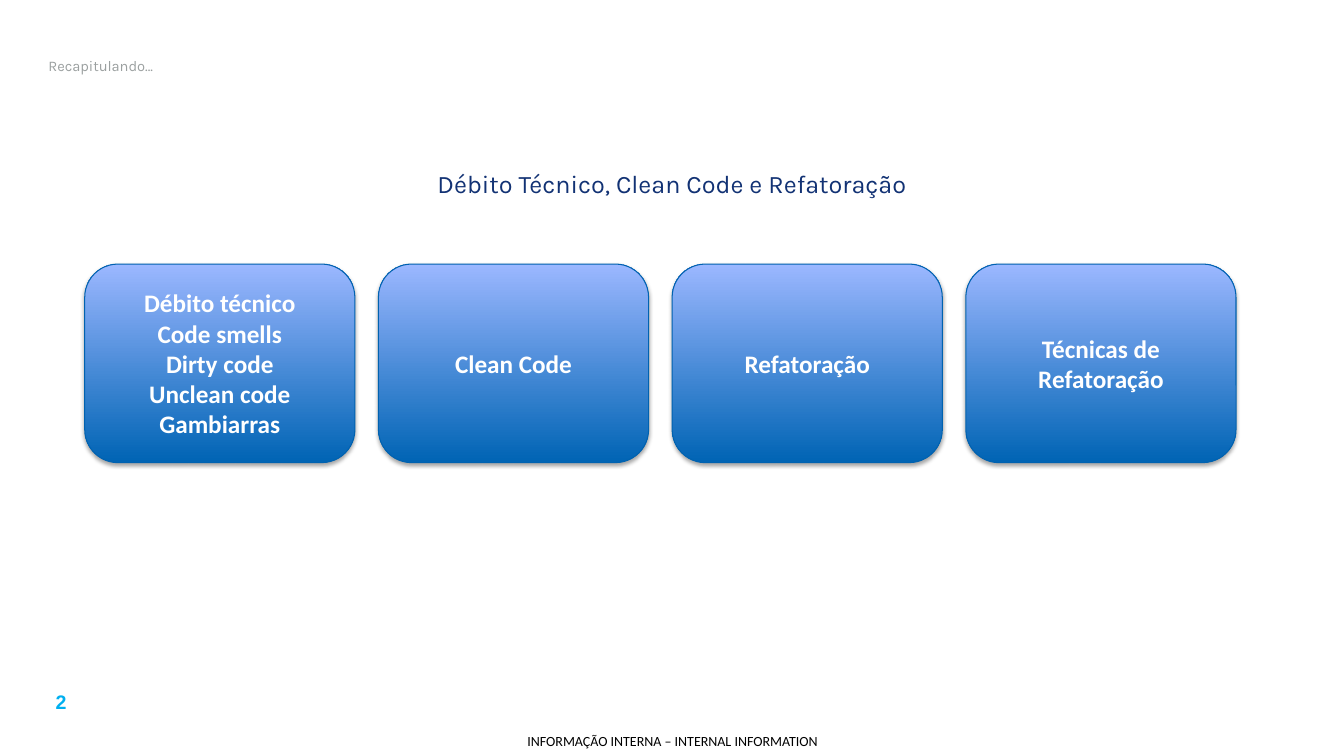
from lxml import etree
from pptx import Presentation
from pptx.dml.color import RGBColor
from pptx.enum.shapes import MSO_SHAPE
from pptx.enum.text import MSO_ANCHOR, MSO_AUTO_SIZE, PP_ALIGN
from pptx.oxml.ns import qn
from pptx.util import Inches, Pt

ROUNDED = MSO_SHAPE.ROUNDED_RECTANGLE
MIDDLE, TOP = MSO_ANCHOR.MIDDLE, MSO_ANCHOR.TOP
LEFT, CENTER = PP_ALIGN.LEFT, PP_ALIGN.CENTER
NO_AUTOFIT = MSO_AUTO_SIZE.NONE
TITLE_ONLY = 5

TOPICS = [
    ["Débito técnico", "Code smells", "Dirty code", "Unclean code", "Gambiarras"],
    ["Clean Code"],
    ["Refatoração"],
    ["Técnicas de Refatoração"],
]
CARD_LEFT, CARD_TOP, CARD_WIDTH, CARD_HEIGHT = 0.84, 2.62, 2.68, 1.97
CARD_STEP = 2.913


def color(value):
    return RGBColor.from_string(value)


def set_attributes(target, values):
    for name, value in values.items():
        setattr(target, name, value)


def write_text(shape, lines, font_name, size, font_color, bold=False, align=CENTER, anchor=MIDDLE):
    frame = shape.text_frame
    set_attributes(frame, {"word_wrap": True, "auto_size": NO_AUTOFIT, "vertical_anchor": anchor})
    frame.text = "\n".join(lines)
    for paragraph in frame.paragraphs:
        paragraph.alignment = align
        for run in paragraph.runs:
            set_attributes(run.font, {"name": font_name, "size": Pt(size), "bold": bold})
            run.font.color.rgb = color(font_color)


def add_text(slide, box, lines, *text_format, margin=None, **options):
    shape = slide.shapes.add_textbox(*map(Inches, box))
    write_text(shape, lines, *text_format, **options)
    if margin is not None:
        sides = ("margin_left", "margin_top", "margin_right", "margin_bottom")
        set_attributes(shape.text_frame, dict.fromkeys(sides, Inches(margin)))


def add_title(slide, box, text, *text_format):
    title = slide.shapes.title
    set_attributes(title, dict(zip(("left", "top", "width", "height"), map(Inches, box))))
    write_text(title, [text], *text_format, align=LEFT)


def add_shadow(shape):
    shape.shadow.inherit = False
    effects = shape._element.spPr.find(qn("a:effectLst"))
    shadow = etree.SubElement(
        effects, qn("a:outerShdw"), blurRad=str(Pt(3.1)), dist=str(Pt(1.8)),
        dir="5400000", rotWithShape="0")
    shade = etree.SubElement(shadow, qn("a:srgbClr"), val="000000")
    etree.SubElement(shade, qn("a:alpha"), val="35000")


def add_card(slide, box, lines):
    card = slide.shapes.add_shape(ROUNDED, *map(Inches, box))
    card.fill.gradient()
    card.fill.gradient_angle = 90
    for stop, position, value in zip(card.fill.gradient_stops, (0, 1), ("0064B4", "9BB7FF")):
        stop.position = position
        stop.color.rgb = color(value)
    card.line.color.rgb = color("0062B0")
    card.line.width = Pt(0.75)
    add_shadow(card)
    write_text(card, lines, "Calibri", 18, "FFFFFF", bold=True)


def main():
    presentation = Presentation()
    set_attributes(presentation, {"slide_width": Inches(13.33), "slide_height": Inches(7.5)})
    slide = presentation.slides.add_slide(presentation.slide_layouts[TITLE_ONLY])
    add_title(slide, (0.38, 0.41, 11.88, 0.48), "Recapitulando...", "Karla", 10.5, "9BA0A0")
    add_text(slide, (0.63, 1.47, 12.07, 0.69), ["Débito Técnico, Clean Code e Refatoração"],
             "Karla", 18, "123274")
    for index, lines in enumerate(TOPICS):
        left = CARD_LEFT + index * CARD_STEP
        add_card(slide, (left, CARD_TOP, CARD_WIDTH, CARD_HEIGHT), lines)
    add_text(slide, (0.21, 6.8, 0.79, 0.34), ["2"], "Arial", 14, "00B0F0", bold=True, anchor=TOP)
    add_text(slide, (5.03, 7.21, 3.28, 0.29), ["INFORMAÇÃO INTERNA – INTERNAL INFORMATION"],
             "Calibri", 10, "000000", margin=0)
    presentation.save("out.pptx")


if __name__ == "__main__":
    main()
